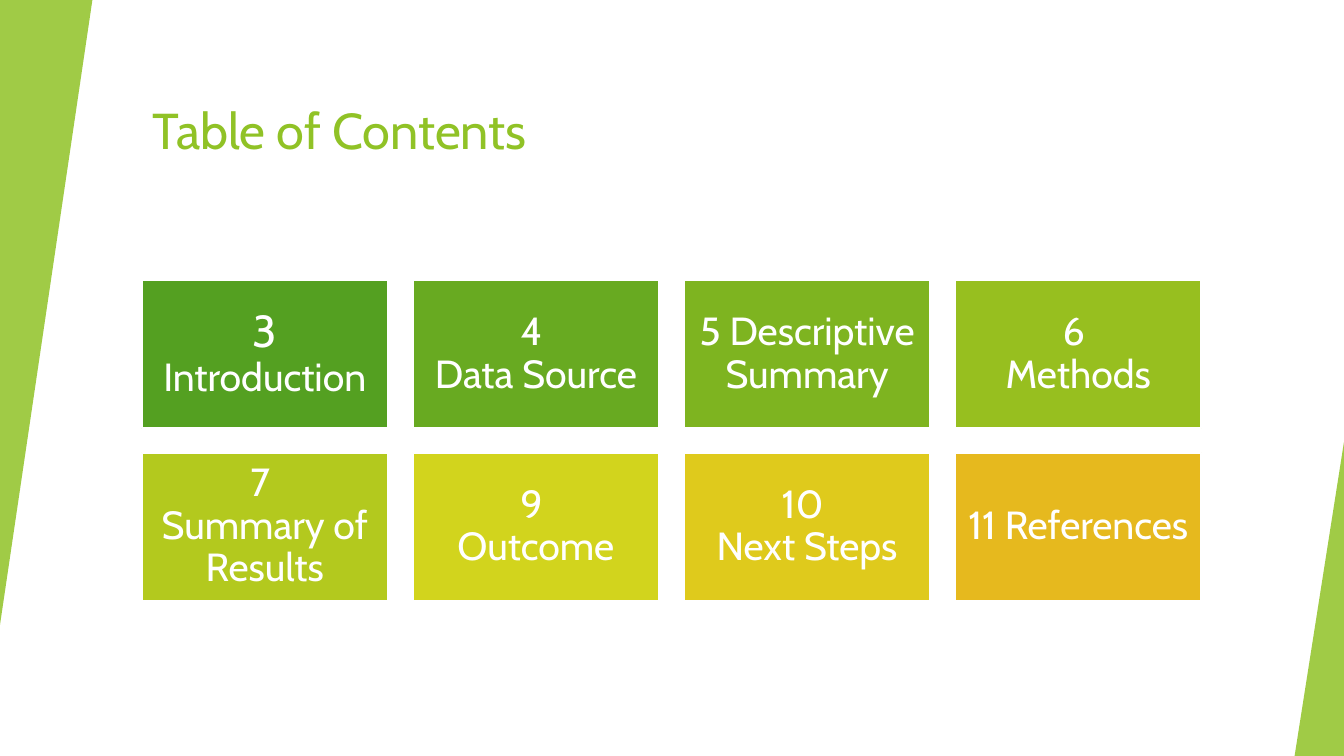
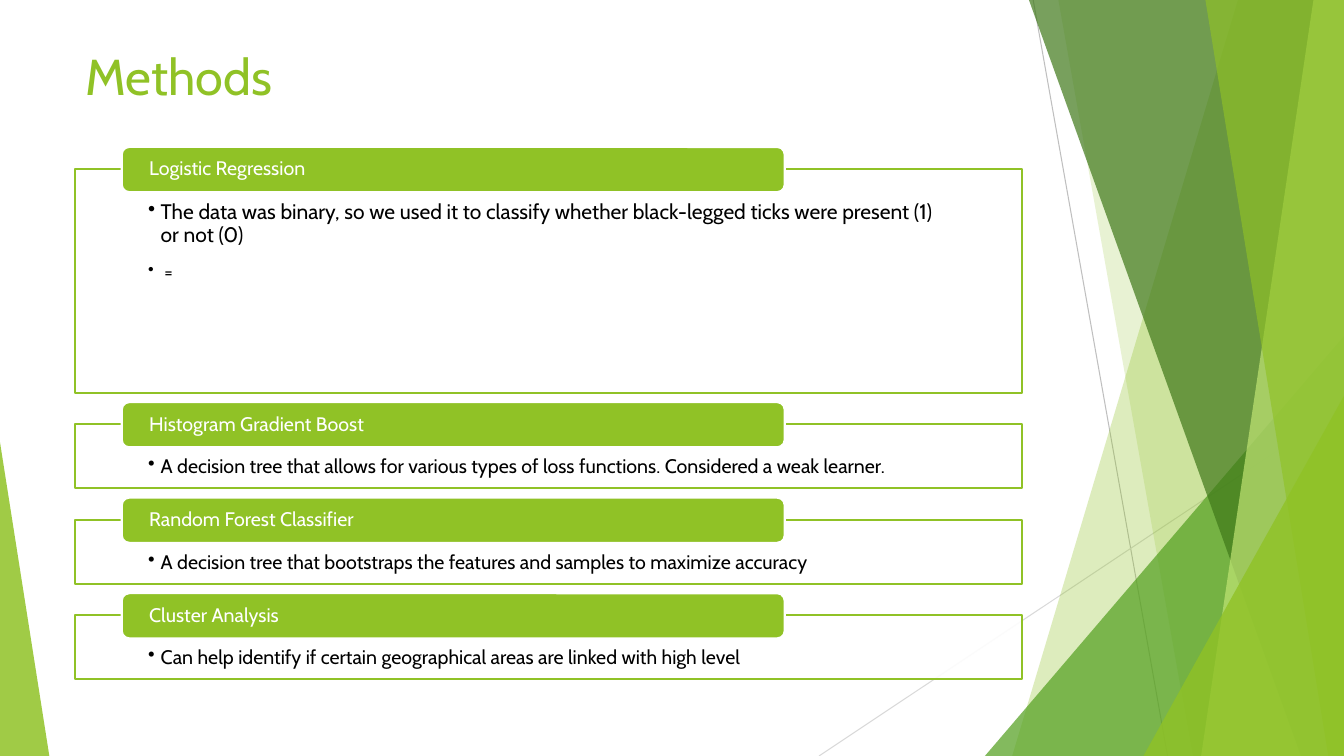
from pptx import Presentation
from pptx.dml.color import RGBColor
from pptx.enum import shapes, text
from pptx.oxml import ns, xmlchemy
from pptx.util import Pt

PX = 9525  # EMU in one px
WIDE, HIGH = 1280, 720
FONT = "Cabin"
LIME, LEAF, MOSS, PALE = "90C226", "54A021", "3F7819", "C0E474"
WHITE, BLACK = "FFFFFF", "000000"
KIND = shapes.MSO_SHAPE
LEFT, MID = text.PP_ALIGN.LEFT, text.PP_ALIGN.CENTER
TOP, CORE = text.MSO_ANCHOR.TOP, text.MSO_ANCHOR.MIDDLE


def px(*nums):
    return [round(n * PX) for n in nums]


def hue(code):
    return RGBColor.from_string(code)


def paint(shape, fill, alpha=100, line=None):
    """Flat fill with optional opacity and a 1.5 pt outline."""
    shape.shadow.inherit = False
    shape.fill.solid()
    shape.fill.fore_color.rgb = hue(fill)
    if alpha < 100:
        tone = shape.element.spPr.find(ns.qn("a:solidFill"))[0]
        xmlchemy.OxmlElement("a:alpha")
        veil = xmlchemy.OxmlElement("a:alpha")
        veil.set("val", str(alpha * 1000))
        tone.append(veil)
    if line:
        shape.line.color.rgb = hue(line)
        shape.line.width = Pt(1.5)
    else:
        shape.line.fill.background()
    return shape


def block(slide, kind, box, fill, **style):
    return paint(slide.shapes.add_shape(kind, *px(*box)), fill, **style)


def wedge(slide, box, apex, fill=LIME, alpha=85, turn=0):
    """Triangle whose apex sits at a share of its width."""
    shape = block(slide, KIND.ISOSCELES_TRIANGLE, box, fill, alpha=alpha)
    shape.adjustments[0] = apex
    shape.rotation = turn


def write(shape, paras, color=WHITE, align=LEFT, anchor=TOP,
          inset=(10, 5, 10, 5), lead=0.9, after=0, bullet=False):
    """Each paragraph is a list of (words, size); a newline breaks the line."""
    frame = shape.text_frame
    frame.word_wrap = True
    frame.vertical_anchor = anchor
    (frame.margin_left, frame.margin_top,
     frame.margin_right, frame.margin_bottom) = px(*inset)
    leads = lead if isinstance(lead, list) else [lead] * len(paras)
    for i, (runs, space) in enumerate(zip(paras, leads)):
        para = frame.add_paragraph() if i else frame.paragraphs[0]
        para.alignment = align
        para.line_spacing = space
        para.space_after = Pt(after)
        if bullet:
            props = para._p.get_or_add_pPr()
            props.set("marL", str(12 * PX))
            props.set("indent", str(-12 * PX))
            mark = xmlchemy.OxmlElement("a:buChar")
            mark.set("char", "•")
            props.append(mark)
        for words, size in runs:
            for j, part in enumerate(words.split("\n")):
                if j:
                    para.add_line_break()
                run = para.add_run()
                run.text = part
                run.font.name = FONT
                run.font.size = Pt(size)
                run.font.color.rgb = hue(color)


def title(slide, box, words):
    write(slide.shapes.add_textbox(*px(*box)), [[(words, 36)]],
          color=LIME, lead=1.0)


def facets(slide):
    """Layered bands at the right edge and the wedge at the left."""
    for ends, color in [((984, 0, 1112, HIGH), "BFBFBF"),
                        ((WIDE, 387, 780, HIGH), "D9D9D9")]:
        line = slide.shapes.add_connector(
            shapes.MSO_CONNECTOR.STRAIGHT, *px(*ends))
        line.line.color.rgb = hue(color)
        line.line.width = Pt(0.75)
        line.element.spPr.append(xmlchemy.OxmlElement("a:effectLst"))

    def band(top, foot, fill, alpha):
        pen = slide.shapes.build_freeform(*px(top, 0), scale=1.0)
        pen.add_line_segments([px(*spot) for spot in (
            (WIDE, 0), (WIDE, HIGH), (foot, HIGH))], close=True)
        paint(pen.convert_to_shape(), fill, alpha)

    band(1179, 964, LIME, 30)
    band(1008, 1136, LIME, 20)
    wedge(slide, (938, 320, 342, 400), 1, LEAF, 72)
    band(980, 1239, MOSS, 70)
    band(1251, 1144, PALE, 70)
    band(1148, 1265, LIME, 65)
    wedge(slide, (1089, 377, 191, 343), 1, LIME, 80)
    wedge(slide, (0, 421, 47, 299), 0)


def tiles(slide, box, items, cols=4, gap=(24, 23)):
    """Grid of coloured tiles that fills the box."""
    left, top, wide, high = box
    rows = -(-len(items) // cols)
    w = (wide - gap[0] * (cols - 1)) / cols
    h = (high - gap[1] * (rows - 1)) / rows
    for i, (fill, runs) in enumerate(items):
        row, col = divmod(i, cols)
        spot = (left + col * (w + gap[0]), top + row * (h + gap[1]), w, h)
        tile = block(slide, KIND.RECTANGLE, spot, fill, line=WHITE)
        write(tile, [runs], align=MID, anchor=CORE, inset=(11, 11, 11, 11))


def panel(slide, box, head, paras, lead=0.9):
    """Outlined panel with a label on its top edge."""
    left, top, wide, high = box
    body = block(slide, KIND.RECTANGLE, box, WHITE, alpha=90, line=LIME)
    write(body, paras, color=BLACK, inset=(70, 31, 70, 9), lead=lead,
          after=3, bullet=True)
    label = block(slide, KIND.ROUNDED_RECTANGLE,
                  (left + 45, top - 21, wide * 0.7, 43), LIME, line=WHITE)
    write(label, [[(head, 14)]], anchor=CORE, inset=(24, 0, 24, 0))


def contents(slide):
    title(slide, (135, 89, 1070, 115), "Table of Contents")
    wedge(slide, (0, 0, 88, 595), 1, turn=180)
    wedge(slide, (1233, 421, 47, 299), 1)
    tiles(slide, (135, 267, 1009, 305), [
        (LEAF, [("3", 32), (" Introduction", 28)]),
        ("68AA21", [("4 \nData Source", 28)]),
        ("7EB420", [("5 Descriptive Summary", 28)]),
        ("97BF1F", [("6 \nMethods", 28)]),
        ("B3C91E", [("7 \nSummary of Results", 28)]),
        ("D2D41D", [("9 \nOutcome", 28)]),
        ("DFCA1C", [("10 \nNext Steps", 28)]),
        ("E6B91E", [("11 References", 28)]),
    ])


def methods(slide):
    facets(slide)
    title(slide, (71, 38, 902, 87), "Methods")
    top = 161
    for head, high, paras, lead in [
        ("Logistic Regression", 213, [
            [("The data was binary, so we used it to classify whether "
              "black-legged ticks were present (1) or not (0)", 15)],
            [(" =", 12)]], [0.9, 1.5]),
        ("Histogram Gradient Boost", 61, [
            [("A decision tree that allows for various types of loss "
              "functions. Considered a weak learner.", 14)]], 0.9),
        ("Random Forest Classifier", 61, [
            [("A decision tree that bootstraps the features and samples "
              "to maximize accuracy", 14)]], 0.9),
        ("Cluster Analysis", 61, [
            [("Can help identify if certain geographical areas are linked "
              "with high level", 14)]], 0.9),
    ]:
        panel(slide, (71, top, 902, high), head, paras, lead)
        top += high + 30


def main():
    deck = Presentation()
    deck.slide_width, deck.slide_height = px(WIDE, HIGH)
    for build in (contents, methods):
        build(deck.slides.add_slide(deck.slide_layouts[6]))
    deck.save("out.pptx")


if __name__ == "__main__":
    main()
